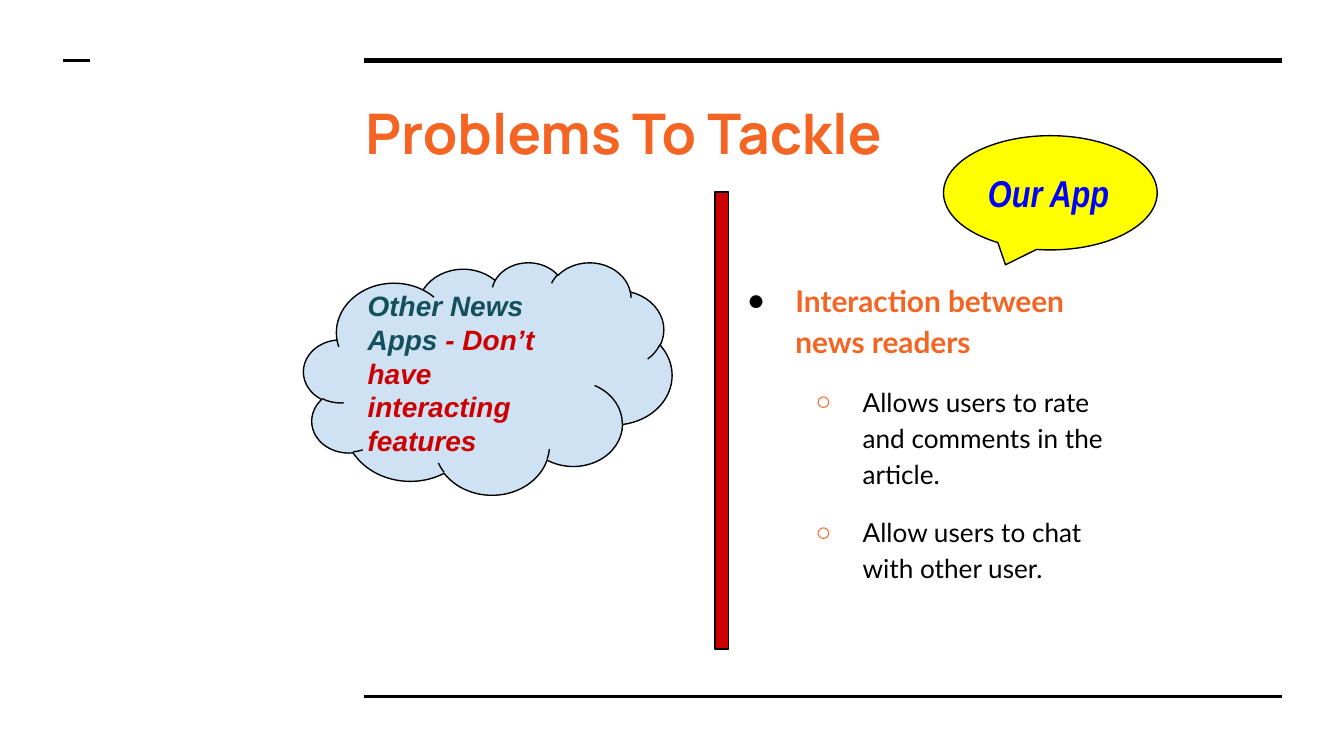
"""Build the "Problems To Tackle" slide comparing other news apps with our app."""
from lxml import etree
from pptx import Presentation
from pptx import util as u
from pptx.dml.color import RGBColor
from pptx.enum import shapes, text
from pptx.oxml import ns

BLACK, ORANGE, RED = "000000", "F46524", "CC0000"


def color(value):
    return RGBColor.from_string(value)


def add_run(paragraph, content, font, size, fill, bold=False, italic=False):
    run = paragraph.add_run()
    run.text = content
    run.font.name = font
    run.font.size = u.Pt(size)
    run.font.bold = bold
    run.font.italic = italic
    run.font.color.rgb = color(fill)


presentation = Presentation()
presentation.slide_width = u.Inches(10)
presentation.slide_height = u.Inches(10 * 9 / 16)
slide = presentation.slides.add_slide(presentation.slide_layouts[6])

for left, right, y, weight in [(2.71, 9.54, 0.45, 3), (2.71, 9.54, 5.18, 1.5), (0.47, 0.67, 0.45, 1.5)]:
    rule = slide.shapes.add_connector(
        shapes.MSO_CONNECTOR.STRAIGHT, u.Inches(left), u.Inches(y), u.Inches(right), u.Inches(y))
    rule.line.color.rgb = color(BLACK)
    rule.line.width = u.Pt(weight)
    etree.SubElement(rule.element.spPr, ns.qn("a:effectLst"))

title = slide.shapes.add_textbox(u.Inches(2.62), u.Inches(0.63), u.Inches(6.91), u.Inches(0.69))
add_run(title.text_frame.paragraphs[0], "Problems To Tackle", "Manrope", 30, ORANGE, bold=True)

features = slide.shapes.add_textbox(u.Inches(5.32), u.Inches(1.96), u.Inches(3.04), u.Inches(2.78))
items = [
    (0, "Interaction between news readers"),
    (1, "Allows users to rate and comments in the article."),
    (1, "Allow users to chat with other user."),
]
for index, (level, content) in enumerate(items):
    frame = features.text_frame
    paragraph = frame.add_paragraph() if index else frame.paragraphs[0]
    properties = paragraph._p.get_or_add_pPr()
    properties.set("marL", str(u.Inches(0.5 * (level + 1))))
    properties.set("indent", str(u.Inches(-0.35 if level else -0.36)))
    bullet_color = etree.SubElement(properties, ns.qn("a:buClr"))
    etree.SubElement(bullet_color, ns.qn("a:srgbClr"), val=ORANGE if level else BLACK)
    etree.SubElement(properties, ns.qn("a:buFont"), typeface="Arial")
    etree.SubElement(properties, ns.qn("a:buChar"), char="○" if level else "●")
    paragraph.level = level
    paragraph.line_spacing = 1.15
    if level:
        paragraph.space_before = u.Pt(12)
        add_run(paragraph, content, "Lato", 14, BLACK)
    else:
        add_run(paragraph, content, "Lato", 16, ORANGE, bold=True)
paragraph.space_after = u.Pt(12)

kinds = shapes.MSO_SHAPE
callout = slide.shapes.add_shape(
    kinds.OVAL_CALLOUT, u.Inches(7.02), u.Inches(1.01), u.Inches(1.59), u.Inches(0.85))
callout.adjustments[0] = -0.21
callout.adjustments[1] = 0.63
cloud = slide.shapes.add_shape(
    kinds.CLOUD, u.Inches(2.26), u.Inches(1.95), u.Inches(2.74), u.Inches(1.73))
divider = slide.shapes.add_shape(
    kinds.RECTANGLE, u.Inches(5.32), u.Inches(1.43), u.Inches(0.1), u.Inches(3.4))

for shape, fill in [(callout, "FFFF00"), (cloud, "CFE2F3"), (divider, RED)]:
    shape.shadow.inherit = False
    shape.fill.solid()
    shape.fill.fore_color.rgb = color(fill)
    shape.line.color.rgb = color(BLACK)
    shape.line.width = u.Pt(0.75)

for shape, runs in [
    (callout, [("Our App", "Arial Narrow", 20, "0000FF")]),
    (cloud, [("Other News Apps ", "Arial", 15, "134F5C"),
             ("- Don’t have interacting features", "Arial", 15, RED)]),
]:
    shape.text_frame.vertical_anchor = text.MSO_ANCHOR.MIDDLE
    paragraph = shape.text_frame.paragraphs[0]
    paragraph.alignment = text.PP_ALIGN.LEFT
    for run in runs:
        add_run(paragraph, *run, bold=True, italic=True)

for shape in (title, features, callout, cloud):
    frame = shape.text_frame
    frame.word_wrap = True
    frame.margin_left = frame.margin_right = u.Inches(0.1)
    frame.margin_top = frame.margin_bottom = u.Inches(0.1)

presentation.save("out.pptx")
